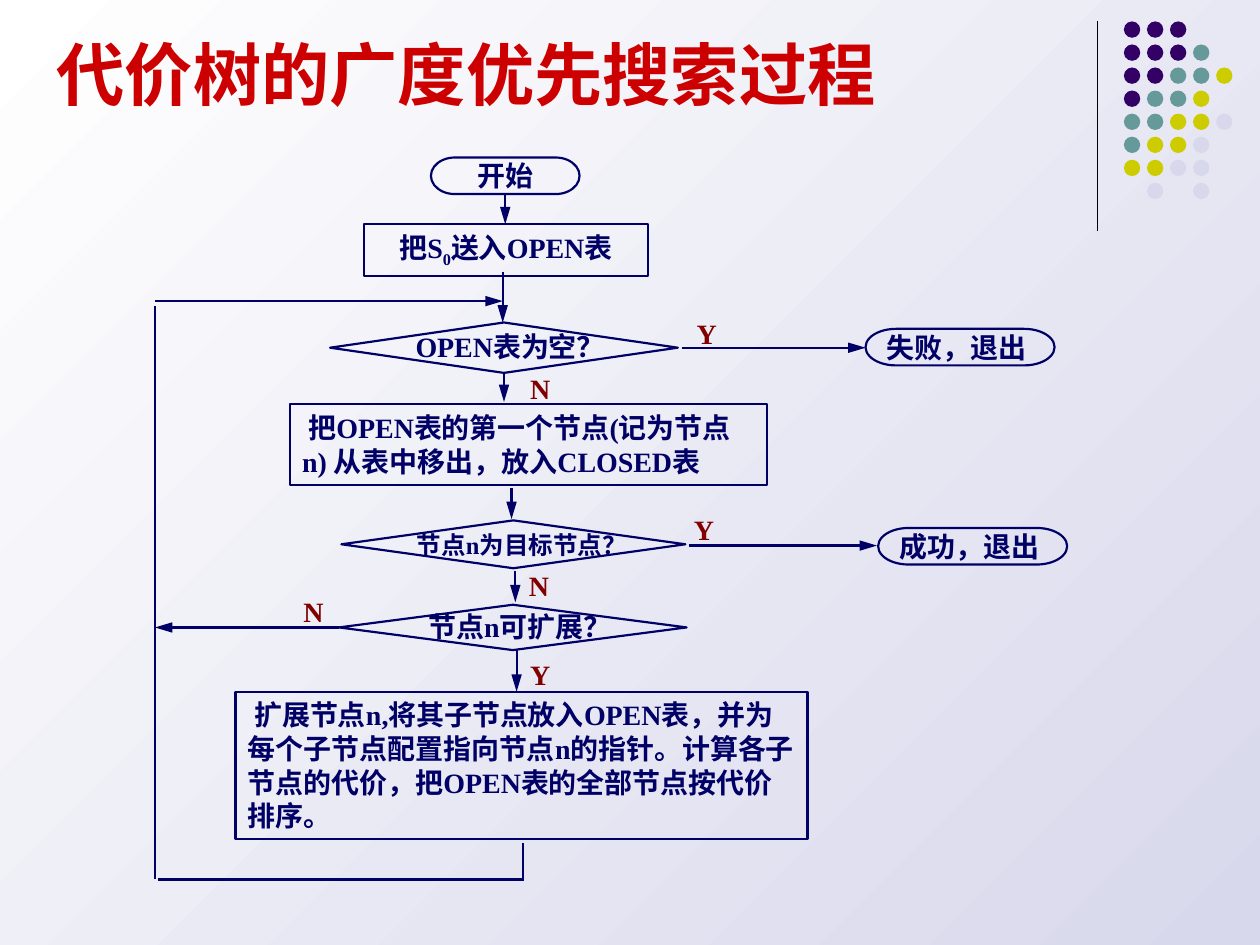
"""Build the flowchart slide for breadth-first search of a cost tree."""
from lxml.etree import SubElement
from pptx import Presentation
from pptx.dml.color import RGBColor
from pptx.enum.shapes import MSO_CONNECTOR, MSO_SHAPE
from pptx.enum.text import MSO_ANCHOR, MSO_AUTO_SIZE, PP_ALIGN
from pptx.oxml.ns import qn
from pptx.util import Inches, Pt

COLORS = {
    "title": "CC0000", "ink": "000066", "answer": "800000", "rule": "000000",
    "light": "D8D8EC", "white": "FFFFFF",
    "P": "330066", "T": "669999", "Y": "CCCC00", "L": "D8D8EC",
}
DOT_ROWS = ["PPP", "PPPT", "PPTTY", "PTTY", "TTYYL", "TYYL", "YYLL", ".L.L"]

STEPS = [
    ((28.9, 17.8, 22.5, 4.1), ("把S", "0", "送入OPEN表"), PP_ALIGN.CENTER, 0),
    ((23, 32.1, 37.9, 6.4),
     ("把OPEN表的第一个节点(记为节点n) 从表中移出，放入CLOSED表",), PP_ALIGN.LEFT, 0.5),
    ((18.7, 54.9, 45.4, 11.7),
     ("扩展节点n,将其子节点放入OPEN表，并为每个子节点配置指向节点n的指针。"
      "计算各子节点的代价，把OPEN表的全部节点按代价排序。",), PP_ALIGN.LEFT, 0.5),
]
TERMINALS = [
    ((34.2, 12.5, 11.8, 2.9), "开始", PP_ALIGN.CENTER),
    ((68.7, 26.1, 15, 2.9), "失败，退出", PP_ALIGN.LEFT),
    ((69.7, 41.9, 15, 2.9), "成功，退出", PP_ALIGN.LEFT),
]
DECISIONS = [
    ((26.2, 25.6, 27.6, 4), (29.8, 26, 19.7, 3.4), "OPEN表为空？", 16, 0.9, 2.2),
    ((27.1, 41.3, 27.3, 3.8), (32.1, 41.8, 19.6, 3.1), "节点n为目标节点？", 14, 0.9, 0),
    ((26.9, 48, 27.6, 3.6), (30.8, 48.6, 19.6, 2.9), "节点n可扩展？", 16, 0.7, 2.2),
]
ANSWERS = [
    (54.3, 24.6, "Y"), (41.1, 29, "N"), (54.1, 40.2, "Y"),
    (41, 44.6, "N"), (23.1, 46.7, "N"), (41.1, 51.7, "Y"),
]
ARROWS = [
    (40.1, 15.5, 40.1, 17.8), (39.9, 21.6, 39.9, 25.6), (40, 29.6, 40, 31.9),
    (40.6, 38.7, 40.6, 41.2), (40.9, 45.3, 40.9, 47.8), (41, 51.6, 41, 54.9),
    (12.3, 23.9, 39.9, 23.9), (26.9, 49.8, 12.3, 49.8),
    (54.1, 27.6, 68.7, 27.6), (54.7, 43.3, 69.6, 43.3),
]
LOOP_LINES = [
    (41.5, 66.9, 41.5, 69.8), (12.5, 69.8, 41.6, 69.8), (12.3, 69.8, 12.3, 24.3),
]


class FlowSlide:
    """Hold the style and the slide, laid out on 100 columns by 75 rows."""

    def __init__(self, presentation):
        self.slide = presentation.slides.add_slide(presentation.slide_layouts[5])
        self.column = presentation.slide_width / 100
        self.row = presentation.slide_height / 75
        self.font = "Times New Roman"

    def color(self, name):
        return RGBColor.from_string(COLORS[name])

    def place(self, left, top, width, height):
        return (round(left * self.column), round(top * self.row),
                round(width * self.column), round(height * self.row))

    def background(self):
        fill = self.slide.background.fill
        fill.gradient()
        fill.gradient_angle = 135
        for stop, name in zip(fill.gradient_stops, ("light", "white")):
            stop.color.rgb = self.color(name)

    def add_text(self, shape, pieces, color="ink", size=16, align=PP_ALIGN.LEFT,
                 anchor=MSO_ANCHOR.TOP, wrap=True, spacing=1.0, indent=0, font=None):
        text_frame = shape.text_frame
        text_frame.word_wrap = wrap
        text_frame.auto_size = MSO_AUTO_SIZE.NONE
        text_frame.vertical_anchor = anchor
        paragraph = text_frame.paragraphs[0]
        paragraph.alignment = align
        paragraph.line_spacing = spacing
        paragraph.space_before = Pt(0)
        if indent:
            paragraph._p.get_or_add_pPr().set("indent", str(round(indent * self.column)))
        for index, piece in enumerate(pieces):
            run = paragraph.add_run()
            run.text = piece
            run.font.name = font or self.font
            run.font.size = Pt(size)
            run.font.bold = True
            run.font.color.rgb = self.color(color)
            if index % 2:
                run.font._element.set("baseline", "-25000")

    def title(self, text):
        shape = self.slide.shapes.title
        shape.left, shape.top, shape.width, shape.height = self.place(3.5, 2.8, 68.2, 4.5)
        self.add_text(shape, (text,), "title", 39, spacing=0.9, font="Arial")

    def outline(self, kind, box):
        shape = self.slide.shapes.add_shape(kind, *self.place(*box))
        shape.shadow.inherit = False
        shape.fill.background()
        shape.line.color.rgb = self.color("ink")
        shape.line.width = Pt(1.25)
        return shape

    def step(self, box, pieces, align, indent):
        shape = self.outline(MSO_SHAPE.RECTANGLE, box)
        self.add_text(shape, pieces, align=align, indent=indent)

    def terminal(self, box, text, align):
        shape = self.outline(MSO_SHAPE.FLOWCHART_TERMINATOR, box)
        self.add_text(shape, (text,), align=align, anchor=MSO_ANCHOR.MIDDLE, wrap=False)

    def label(self, box, text, **style):
        shape = self.slide.shapes.add_textbox(*self.place(*box))
        self.add_text(shape, (text,), **style)

    def decision(self, box, label_box, text, size, spacing, indent):
        self.outline(MSO_SHAPE.FLOWCHART_DECISION, box)
        self.label(label_box, text, size=size, spacing=spacing, indent=indent)

    def line(self, points, arrow=False, color="ink", width=1.25):
        connector = self.slide.shapes.add_connector(
            MSO_CONNECTOR.STRAIGHT, *self.place(*points))
        connector.line.color.rgb = self.color(color)
        connector.line.width = Pt(width)
        if arrow:
            SubElement(connector.line._get_or_add_ln(), qn("a:tailEnd"),
                       type="triangle", w="med", len="lg")
        SubElement(connector._element.spPr, qn("a:effectLst"))

    def dots(self, left, top, pitch, diameter):
        for row, codes in enumerate(DOT_ROWS):
            for column, code in enumerate(codes):
                if code == ".":
                    continue
                box = (left + column * pitch, top + row * pitch, diameter, diameter)
                shape = self.slide.shapes.add_shape(MSO_SHAPE.OVAL, *self.place(*box))
                shape.shadow.inherit = False
                shape.fill.solid()
                shape.fill.fore_color.rgb = self.color(code)
                shape.line.fill.background()


def main():
    presentation = Presentation()
    presentation.slide_width, presentation.slide_height = Inches(10), Inches(7.5)
    flow = FlowSlide(presentation)
    flow.background()
    flow.line((87.1, 1.7, 87.1, 18.3), color="rule", width=0.75)
    flow.dots(89.2, 1.7, 1.83, 1.3)
    flow.title("代价树的广度优先搜索过程")
    for step in STEPS:
        flow.step(*step)
    for terminal in TERMINALS:
        flow.terminal(*terminal)
    for decision in DECISIONS:
        flow.decision(*decision)
    for points in ARROWS:
        flow.line(points, arrow=True)
    for points in LOOP_LINES:
        flow.line(points)
    for left, top, answer in ANSWERS:
        flow.label((left, top, 3.6, 3.7), answer, color="answer")
    presentation.save("out.pptx")


if __name__ == "__main__":
    main()
